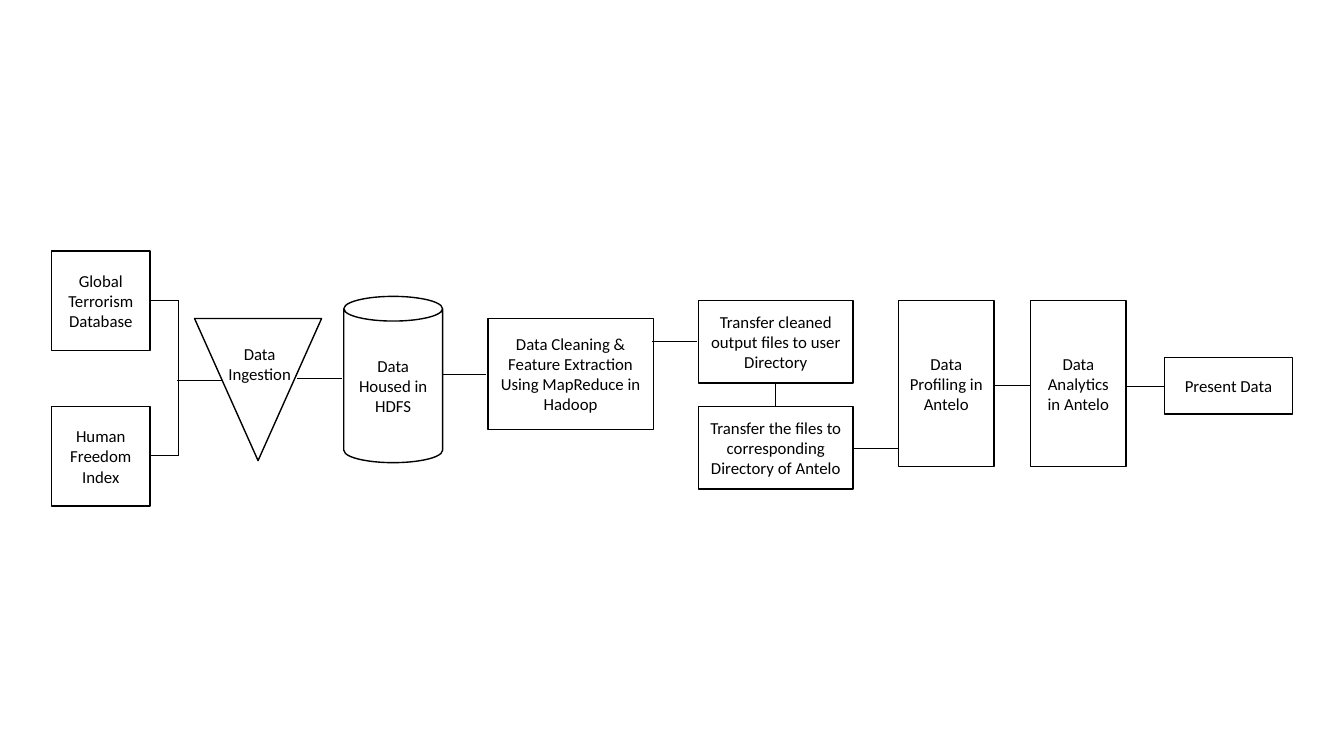
import pptx
import pptx.dml.color
import pptx.enum.shapes
import pptx.enum.text
import pptx.oxml.ns
import pptx.util
from lxml import etree

Inches = pptx.util.Inches
Pt = pptx.util.Pt
SHAPE = pptx.enum.shapes.MSO_SHAPE
ANCHOR = pptx.enum.text.MSO_ANCHOR
BLACK = pptx.dml.color.RGBColor(0x00, 0x00, 0x00)
FONT = "Calibri"

SOURCE_SIZE = (0.98, 0.99)
TRANSFER_SIZE = (1.53, 0.82)
ANALYSIS_SIZE = (0.95, 1.65)

STEPS = [
    (SHAPE.RECTANGLE, (0.51, 2.49), SOURCE_SIZE, ["Global Terrorism Database"]),
    (SHAPE.RECTANGLE, (0.51, 4.03), SOURCE_SIZE, ["Human Freedom Index"]),
    (SHAPE.FLOWCHART_MERGE, (1.93, 3.16), (1.26, 1.41), []),
    (SHAPE.CAN, (3.41, 2.94), (0.98, 1.65), ["Data Housed in HDFS"]),
    (SHAPE.RECTANGLE, (4.84, 3.16), (1.64, 1.1),
     ["Data Cleaning & Feature Extraction", "Using MapReduce in Hadoop"]),
    (SHAPE.RECTANGLE, (6.93, 2.98), TRANSFER_SIZE,
     ["Transfer cleaned output files to user Directory"]),
    (SHAPE.RECTANGLE, (6.93, 4.03), TRANSFER_SIZE,
     ["Transfer the files to corresponding Directory of Antelo"]),
    (SHAPE.RECTANGLE, (8.91, 2.98), ANALYSIS_SIZE, ["Data Profiling in Antelo"]),
    (SHAPE.RECTANGLE, (10.22, 2.98), ANALYSIS_SIZE, ["Data Analytics in Antelo"]),
    (SHAPE.RECTANGLE, (11.55, 3.55), (1.27, 0.56), ["Present Data"]),
]

LINKS = [
    ((1.49, 2.98), (1.77, 2.98)),
    ((1.77, 2.98), (1.77, 4.52)),
    ((1.49, 4.52), (1.77, 4.52)),
    ((1.76, 3.77), (2.2, 3.77)),
    ((2.95, 3.75), (3.39, 3.75)),
    ((4.38, 3.71), (4.82, 3.71)),
    ((6.47, 3.39), (6.91, 3.39)),
    ((7.69, 4.03), (7.69, 3.8)),
    ((8.47, 4.45), (8.91, 4.45)),
    ((10.22, 3.82), (9.85, 3.82)),
    ((11.54, 3.83), (11.18, 3.83)),
]


def write_text(shape, lines, anchor):
    frame = shape.text_frame
    frame.word_wrap = True
    frame.vertical_anchor = anchor
    for index, line in enumerate(lines):
        paragraph = frame.add_paragraph() if index else frame.paragraphs[0]
        paragraph.alignment = pptx.enum.text.PP_ALIGN.CENTER
        run = paragraph.add_run()
        run.text = line
        run.font.name = FONT
        run.font.size = Pt(12)
        run.font.color.rgb = BLACK


def add_step(slide, kind, position, size, lines):
    shape = slide.shapes.add_shape(kind, *map(Inches, position + size))
    shape.shadow.inherit = False
    shape.fill.background()
    shape.line.color.rgb = BLACK
    shape.line.width = Pt(1)
    write_text(shape, lines, ANCHOR.MIDDLE)


def add_label(slide, position, size, lines):
    label = slide.shapes.add_textbox(*map(Inches, position + size))
    write_text(label, lines, ANCHOR.TOP)


def add_link(slide, start, end):
    link = slide.shapes.add_connector(
        pptx.enum.shapes.MSO_CONNECTOR.STRAIGHT, *map(Inches, start + end))
    link.line.color.rgb = BLACK
    link.line.width = Pt(0.5)
    etree.SubElement(link._element.spPr, pptx.oxml.ns.qn("a:effectLst"))


def main():
    presentation = pptx.Presentation()
    presentation.slide_width = Inches(13.33)
    presentation.slide_height = Inches(7.5)
    slide = presentation.slides.add_slide(presentation.slide_layouts[6])
    for step in STEPS:
        add_step(slide, *step)
    add_label(slide, (2.15, 3.36), (0.85, 0.5), ["Data", "Ingestion"])
    for link in LINKS:
        add_link(slide, *link)
    presentation.save("out.pptx")


main()
